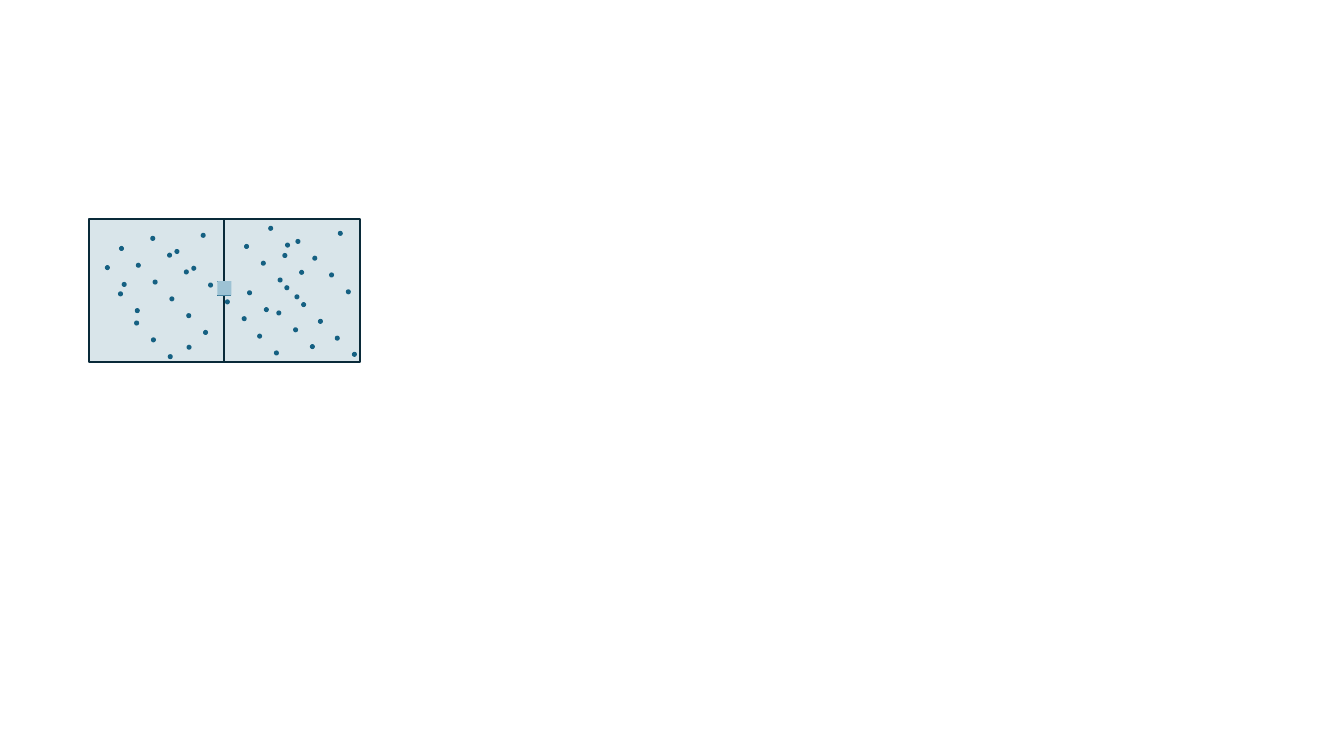
from lxml import etree
from pptx import Presentation
from pptx import util as u
from pptx.dml.color import RGBColor
from pptx.enum import shapes
from pptx.oxml.ns import qn

TEAL, NAVY, PALE = "156082", "092A39", "9DC2D4"
CHAMBER_LEFT, CHAMBER_TOP = 0.88, 2.17
CHAMBER_W, CHAMBER_H = 1.345, 1.42
CHAMBER_COUNT, CHAMBER_OPACITY = 2, 16
GATE_SIDE, PARTICLE_SIZE = 0.14, 0.05
PARTICLE_STEP = 1 / 6

PARTICLE_RUNS = [
    (1.18, 2.44, 6), (1.85, 3.42, 1), (2.55, 3.31, 2), (2.82, 2.83, 4),
    (2.74, 3.08, 3), (1.33, 3.18, 3), (1.73, 2.47, 3), (3.49, 3.49, 1),
    (2.42, 2.42, 3), (2.93, 2.37, 4), (1.49, 2.34, 3), (1.17, 2.89, 2),
    (2.92, 2.92, 1), (2.45, 2.88, 2), (1.04, 2.63, 2), (2.80, 2.51, 2),
    (2.66, 2.24, 2), (3.35, 2.29, 1), (2.23, 2.97, 2), (1.99, 2.31, 1),
]


def rgb(value):
    return RGBColor.from_string(value)


def inches(*lengths):
    return [u.Inches(length) for length in lengths]


def add_part(group, kind, box, fill, outline=None, opacity=None):
    part = group.shapes.add_shape(kind, *inches(*box))
    part.shadow.inherit = False
    part.fill.solid()
    part.fill.fore_color.rgb = rgb(fill)
    if opacity is not None:
        color = part.fill._xPr.find(qn("a:solidFill"))[0]
        etree.SubElement(color, qn("a:alpha"), val=str(opacity * 1000))
    if outline:
        part.line.color.rgb = rgb(outline)
        part.line.width = u.Pt(1.5)
    else:
        part.line.fill.background()


def add_gate_edge(group, left, right, y):
    edge = group.shapes.add_connector(
        shapes.MSO_CONNECTOR.STRAIGHT, *inches(left, y, right, y))
    edge.line.color.rgb = rgb(TEAL)
    edge.line.width = u.Pt(0.5)
    etree.SubElement(edge._element.spPr, qn("a:effectLst"))


def main():
    deck = Presentation()
    deck.slide_width, deck.slide_height = inches(13.33, 7.5)
    slide = deck.slides.add_slide(deck.slide_layouts[6])
    vessel = slide.shapes.add_group_shape()
    rectangle, oval = shapes.MSO_SHAPE.RECTANGLE, shapes.MSO_SHAPE.OVAL

    for column in range(CHAMBER_COUNT):
        box = (CHAMBER_LEFT + column * CHAMBER_W, CHAMBER_TOP, CHAMBER_W, CHAMBER_H)
        add_part(vessel, rectangle, box, TEAL, NAVY, CHAMBER_OPACITY)

    gate_left = CHAMBER_LEFT + CHAMBER_W - GATE_SIDE / 2
    gate_top = CHAMBER_TOP + (CHAMBER_H - GATE_SIDE) / 2 - 0.02
    for y in (gate_top, gate_top + GATE_SIDE):
        add_gate_edge(vessel, gate_left, gate_left + GATE_SIDE, y)
    add_part(vessel, rectangle, (gate_left, gate_top, GATE_SIDE, GATE_SIDE), PALE)

    for left, top, count in PARTICLE_RUNS:
        for index in range(count):
            shift = index * PARTICLE_STEP
            box = (left + shift, top + shift, PARTICLE_SIZE, PARTICLE_SIZE)
            add_part(vessel, oval, box, TEAL)

    deck.save("out.pptx")


if __name__ == "__main__":
    main()
